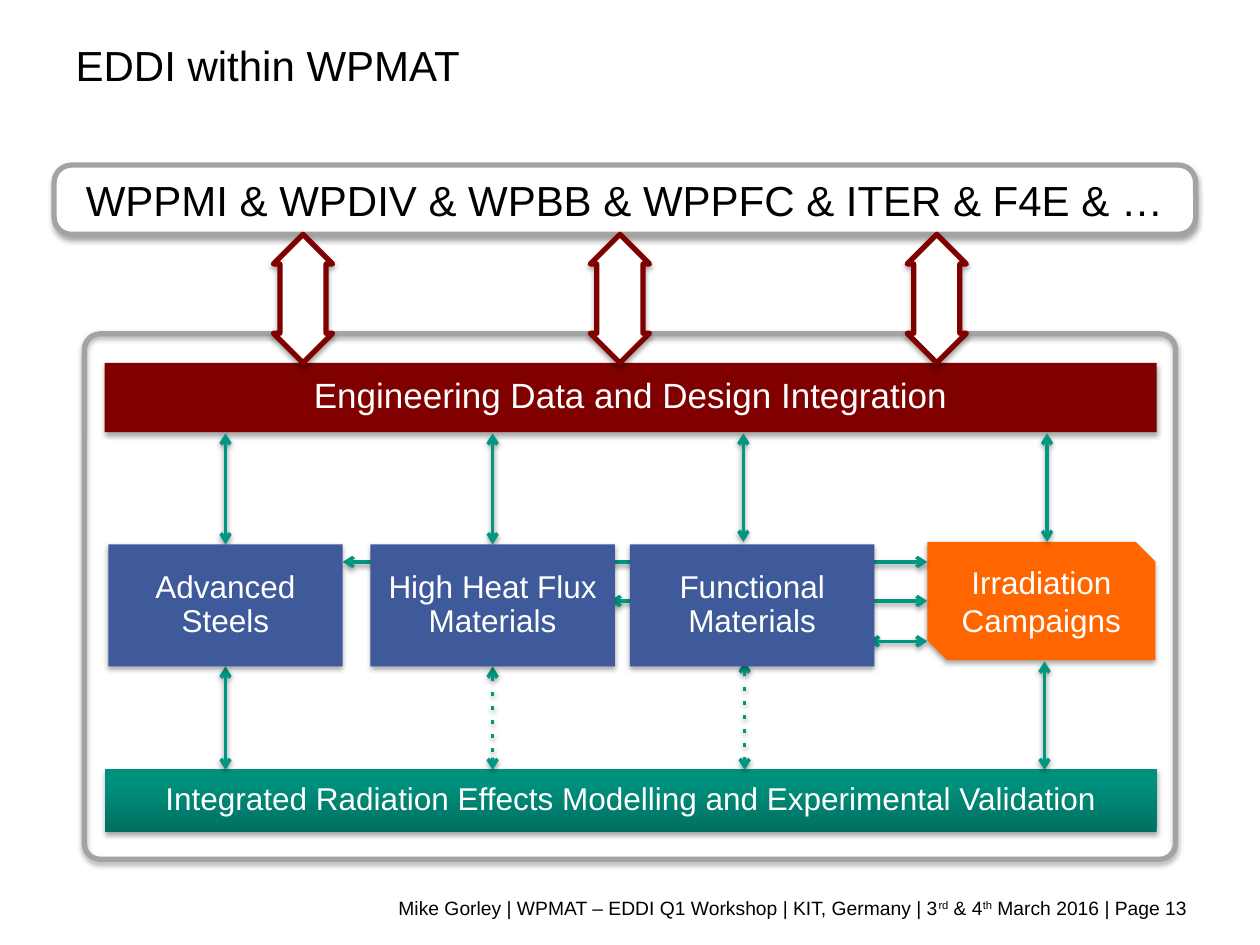
from lxml import etree
from pptx import Presentation
from pptx.dml.color import RGBColor
from pptx.enum.shapes import MSO_CONNECTOR, MSO_SHAPE
from pptx.enum.text import MSO_ANCHOR, PP_ALIGN
from pptx.oxml import parse_xml
from pptx.oxml.ns import nsdecls, qn
from pptx.util import Inches, Pt

color = RGBColor.from_string
RED, GREEN, BLUE, ORANGE = "800000", "009682", "3F5A9A", "FF6600"
GREY, WHITE, BLACK = "A3A3A3", "FFFFFF", "000000"


def add_shadow(shape, distance, opacity):
    properties = shape._element.spPr
    for effects in properties.findall(qn("a:effectLst")):
        properties.remove(effects)
    properties.append(parse_xml(
        f'<a:effectLst {nsdecls("a")}><a:outerShdw blurRad="{Pt(3.1)}" '
        f'dist="{Pt(distance)}" dir="5400000" rotWithShape="0">'
        f'<a:srgbClr val="{BLACK}"><a:alpha val="{opacity}000"/></a:srgbClr>'
        '</a:outerShdw></a:effectLst>'))


def add_box(kind, bounds, fill=None, line=None, text="", size=18,
            text_color=WHITE, tight=False):
    shape = slide.shapes.add_shape(kind, *map(Inches, bounds))
    if fill:
        shape.fill.solid()
        shape.fill.fore_color.rgb = color(fill)
    else:
        shape.fill.background()
    if line:
        shape.line.color.rgb = color(line)
        shape.line.width = Pt(3)
    else:
        shape.line.fill.background()
    add_shadow(shape, 1.8, 35)
    if text:
        frame = shape.text_frame
        frame.text = text
        frame.word_wrap = True
        frame.vertical_anchor = MSO_ANCHOR.MIDDLE
        paragraph = frame.paragraphs[0]
        paragraph.alignment = PP_ALIGN.CENTER
        if tight:
            frame.margin_left = frame.margin_right = Inches(0.02)
            frame.margin_top = frame.margin_bottom = Inches(0.02)
            paragraph.line_spacing = 0.9
        font = paragraph.runs[0].font
        font.name, font.size = "Arial", Pt(size)
        font.color.rgb = color(text_color)
    return shape


presentation = Presentation()
presentation.slide_width = Inches(10)
presentation.slide_height = Inches(7.5)
slide = presentation.slides.add_slide(presentation.slide_layouts[5])

# Title
title = slide.shapes.title
title.left, title.top, title.width, title.height = map(Inches, (0.5, 0.03, 8.12, 0.97))
title.text_frame.text = "EDDI within WPMAT"
title.text_frame.vertical_anchor = MSO_ANCHOR.MIDDLE
paragraph = title.text_frame.paragraphs[0]
paragraph.alignment = PP_ALIGN.LEFT
font = paragraph.runs[0].font
font.name, font.size = "Arial", Pt(24)
font.color.rgb = color(BLACK)

# Footer with raised ordinals
footer = slide.shapes.add_textbox(*map(Inches, (0.51, 7.06, 9.01, 0.29)))
footer.text_frame.word_wrap = True
footer.text_frame.vertical_anchor = MSO_ANCHOR.MIDDLE
paragraph = footer.text_frame.paragraphs[0]
paragraph.alignment = PP_ALIGN.RIGHT
for text, raised in (
        ("Mike Gorley | WPMAT – EDDI Q1 Workshop | KIT, Germany | 3", False),
        ("rd", True), (" & 4", False), ("th", True),
        (" March 2016 | Page 13", False)):
    run = paragraph.add_run()
    run.text = text
    run.font.name, run.font.size = "Arial", Pt(11)
    run.font.color.rgb = color(BLACK)
    if raised:
        run.font._element.set("baseline", "30000")

# Irradiation box and the two bars
add_box(MSO_SHAPE.SNIP_2_DIAG_RECTANGLE, (7.36, 4.3, 1.81, 0.94), ORANGE,
        text="Irradiation Campaigns")
add_box(MSO_SHAPE.RECTANGLE, (0.83, 2.88, 8.35, 0.55), RED,
        text="Engineering Data and Design Integration", size=20, tight=True)
validation_bar = add_box(
    MSO_SHAPE.RECTANGLE, (0.83, 6.1, 8.35, 0.5), GREEN, tight=True,
    text="Integrated Radiation Effects Modelling and Experimental Validation")
validation_bar.fill.gradient()
validation_bar.fill.gradient_angle = 90
stops = validation_bar.fill.gradient_stops
for stop, position, stop_color in zip(stops, (0, 0.8), ("007061", "00917E")):
    stop.position = position
    stop.color.rgb = color(stop_color)

# Partner projects and outer frame
partners = add_box(MSO_SHAPE.ROUNDED_RECTANGLE, (0.43, 1.31, 9.06, 0.55), WHITE, GREY,
                   "WPPMI & WPDIV & WPBB & WPPFC & ITER & F4E & …", 24, BLACK)
partners.adjustments[0] = 0.25
frame_box = add_box(MSO_SHAPE.ROUNDED_RECTANGLE, (0.67, 2.65, 8.66, 4.17), line=GREY)
frame_box.adjustments[0] = 0.03

# Green links: vertical ones to both bars, horizontal ones from irradiation
links = [(x, 3.44, x, 4.3, False) for x in (1.79, 3.91, 5.9, 8.31)]
links += [(x, 5.25, x, 6.11, dotted) for x, dotted in
          ((1.79, False), (3.91, True), (5.91, True), (8.29, False))]
links += [(7.36, y, x, y, False) for x, y in ((2.72, 4.46), (4.84, 4.77), (6.89, 5.09))]
connectors = []
for x1, y1, x2, y2, dotted in links:
    connector = slide.shapes.add_connector(
        MSO_CONNECTOR.STRAIGHT, *map(Inches, (x1, y1, x2, y2)))
    connector.line.color.rgb = color(GREEN)
    connector.line.width = Pt(2)
    line = connector.line._get_or_add_ln()
    if dotted:
        etree.SubElement(line, qn("a:prstDash")).set("val", "dot")
    for end in ("a:headEnd", "a:tailEnd"):
        etree.SubElement(line, qn(end)).set("type", "arrow")
    add_shadow(connector, 1.6, 38)
    connectors.append(connector)

# Double arrows between partners and the integration bar
for index in range(3):
    arrow = add_box(MSO_SHAPE.UP_DOWN_ARROW, (2.17 + index * 2.515, 1.86, 0.47, 1.02),
                    WHITE, RED)
    arrow.adjustments[0], arrow.adjustments[1] = 0.375, 0.78

# Material boxes, in front of the links
materials = [
    add_box(MSO_SHAPE.RECTANGLE, (left, 4.32, width, 0.97), BLUE, text=text, tight=True)
    for left, width, text in ((0.86, 1.86, "Advanced Steels"),
                              (2.94, 1.94, "High Heat Flux Materials"),
                              (5, 1.94, "Functional Materials"))]

# Join the links that meet the middle of a box side
for index, material in enumerate(materials[:2]):
    connectors[index].end_connect(material, 0)
    connectors[index + 4].begin_connect(material, 2)

presentation.save("out.pptx")
